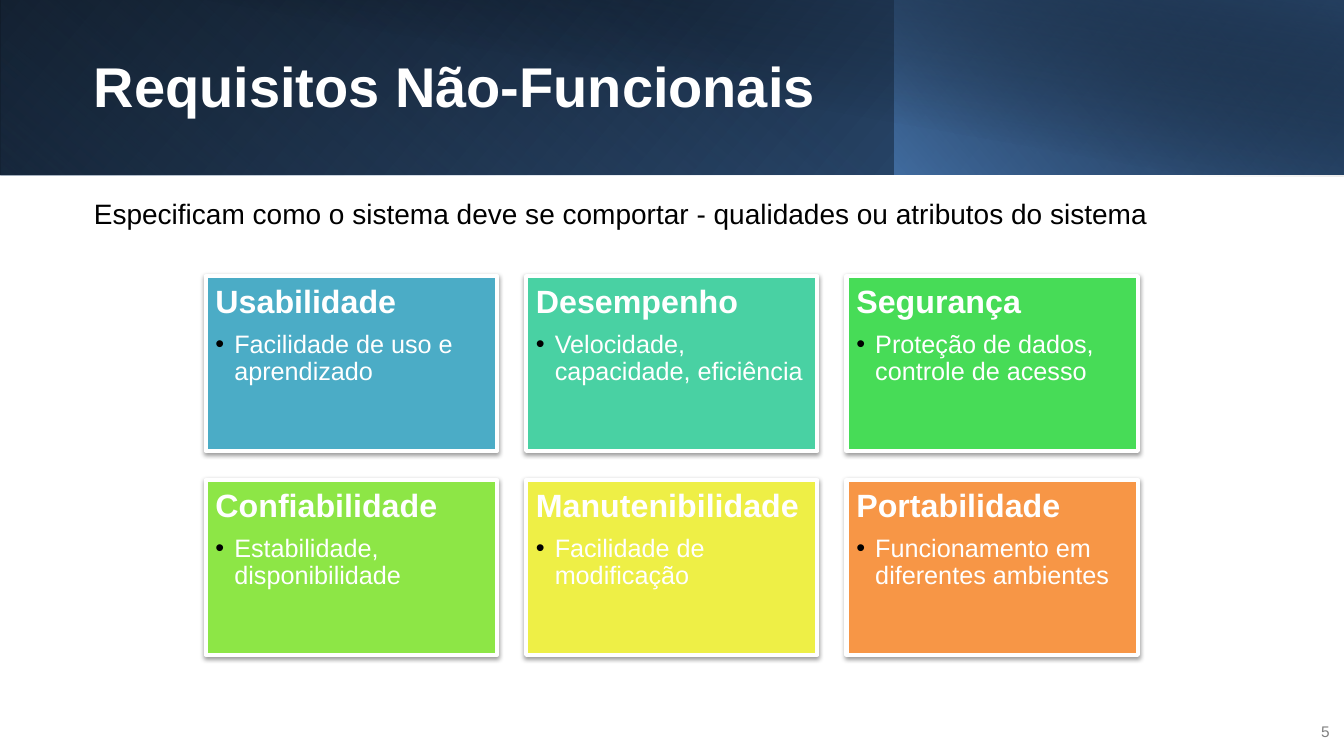
from lxml import etree
from pptx import Presentation
from pptx.dml import color
from pptx.enum import shapes, text
from pptx.oxml import ns, parse_xml
from pptx.util import Pt

BANNER = [
    ((0, 0, 960, 125), 0, True, 140, [(0, "000000", 100), (100, "376092", 100)]),
    ((0, 0, 639, 125), 180, True, 230, [(20, "4F81BD", 0), (100, "254061", 55)]),
    ((639, 0, 321, 125), 0, True, 220, [(0, "4F81BD", 66), (100, "000000", 30)]),
    ((36, 0, 924, 126), 0, False, 280, [(50, "000000", 0), (99, "254061", 52)]),
]
QUALITIES = [
    ("Usabilidade", "Facilidade de uso e aprendizado", "4BACC6"),
    ("Desempenho", "Velocidade, capacidade, eficiência", "49D1A3"),
    ("Segurança", "Proteção de dados, controle de acesso", "47DC57"),
    ("Confiabilidade", "Estabilidade, disponibilidade", "8DE646"),
    ("Manutenibilidade", "Facilidade de modificação", "EEEF46"),
    ("Portabilidade", "Funcionamento em diferentes ambientes", "F79646"),
]


def rgb(value):
    """Turn a hex string into a colour."""
    return color.RGBColor.from_string(value)


def add(parent, tag, **attributes):
    """Append a DrawingML element and return it."""
    child = etree.SubElement(parent, ns.qn(tag))
    for name, value in attributes.items():
        child.set(name, str(value))
    return child


def place(shape, left, top, width, height):
    """Move and size a shape, in points."""
    shape.left, shape.top = Pt(left), Pt(top)
    shape.width, shape.height = Pt(width), Pt(height)


def style(paragraph, size, hue, bold=False, after=0, spacing=0.9, align=text.PP_ALIGN.LEFT):
    """Set the spacing, alignment and font of a paragraph."""
    paragraph.alignment = align
    paragraph.line_spacing = spacing
    paragraph.space_before, paragraph.space_after = Pt(0), Pt(after)
    font = paragraph.font
    font.name, font.size, font.bold = "Arial", Pt(size), bold
    font.color.rgb = rgb(hue)


def add_rectangle(slide, box):
    """Add a rectangle without an inherited shadow."""
    rectangle = slide.shapes.add_shape(shapes.MSO_SHAPE.RECTANGLE, *map(Pt, box))
    rectangle.shadow.inherit = False
    return rectangle


def add_banner_layer(slide, box, rotation, mirrored, angle, stops):
    """Add one translucent gradient layer of the banner."""
    layer = add_rectangle(slide, box)
    layer.line.fill.background()
    layer.rotation = rotation
    layer.fill.background()
    properties = layer.element.spPr
    if mirrored:
        properties.find(ns.qn("a:xfrm")).set("flipH", "1")
    gradient = parse_xml(f'<a:gradFill {ns.nsdecls("a")} rotWithShape="1"/>')
    stop_list = add(gradient, "a:gsLst")
    for position, hue, opacity in stops:
        stop = add(stop_list, "a:gs", pos=position * 1000)
        add(add(stop, "a:srgbClr", val=hue), "a:alpha", val=opacity * 1000)
    add(gradient, "a:lin", ang=angle * 60000, scaled=0)
    properties.replace(properties.find(ns.qn("a:noFill")), gradient)


def fill_placeholder(slide, placeholder, box, words, anchor, **look):
    """Move a placeholder to the front, fill it and format it."""
    slide.shapes.element.append(placeholder.element)
    place(placeholder, *box)
    frame = placeholder.text_frame
    frame.text = words
    frame.auto_size = text.MSO_AUTO_SIZE.NONE
    frame.vertical_anchor = anchor
    paragraph = frame.paragraphs[0]
    properties = paragraph._p.get_or_add_pPr()
    properties.set("marL", "0")
    properties.set("indent", "0")
    add(properties, "a:buNone")
    style(paragraph, **look)


def add_card(slide, box, heading, detail, hue):
    """Add a coloured card with a heading and one bullet."""
    card = add_rectangle(slide, box)
    card.fill.solid()
    card.fill.fore_color.rgb = rgb(hue)
    card.line.color.rgb = rgb("FFFFFF")
    card.line.width = Pt(3)
    effects = card.element.spPr.find(ns.qn("a:effectLst"))
    shadow = add(effects, "a:outerShdw", blurRad=Pt(3.1), dist=Pt(1.6),
                 dir=90 * 60000, rotWithShape=0)
    add(add(shadow, "a:srgbClr", val="000000"), "a:alpha", val=38000)

    frame = card.text_frame
    frame.word_wrap = True
    frame.vertical_anchor = text.MSO_ANCHOR.TOP
    frame.margin_left = frame.margin_right = Pt(7)
    frame.margin_top = frame.margin_bottom = Pt(7)
    frame.text = heading
    style(frame.paragraphs[0], 23, "FFFFFF", bold=True, after=8)
    bullet = frame.add_paragraph()
    bullet.text = detail
    bullet.level = 1
    properties = bullet._p.get_or_add_pPr()
    properties.set("marL", str(Pt(13.5)))
    properties.set("indent", str(Pt(-13.5)))
    add(add(properties, "a:buClr"), "a:srgbClr", val="000000")
    add(properties, "a:buFont", typeface="Arial")
    add(properties, "a:buChar", char="•")
    style(bullet, 18, "FFFFFF", after=3)


def add_page_number(slide, number):
    """Add the page number in the bottom right corner."""
    box = slide.shapes.add_textbox(Pt(921.6), Pt(508.3), Pt(35.3), Pt(28.8))
    frame = box.text_frame
    frame.word_wrap = True
    frame.vertical_anchor = text.MSO_ANCHOR.MIDDLE
    frame.text = number
    style(frame.paragraphs[0], 11, "808080", after=6, spacing=1.0,
          align=text.PP_ALIGN.RIGHT)


def main():
    """Build the slide and save it."""
    deck = Presentation()
    deck.slide_width, deck.slide_height = Pt(960), Pt(540)
    slide = deck.slides.add_slide(deck.slide_layouts[1])
    for layer in BANNER:
        add_banner_layer(slide, *layer)
    fill_placeholder(slide, slide.shapes.title, (59.8, 23, 827.3, 81.4),
                     "Requisitos Não-Funcionais", text.MSO_ANCHOR.MIDDLE,
                     size=40, hue="FFFFFF", bold=True)
    fill_placeholder(slide, slide.placeholders[1], (59.8, 139.7, 814.3, 349.9),
                     "Especificam como o sistema deve se comportar - "
                     "qualidades ou atributos do sistema",
                     text.MSO_ANCHOR.TOP, size=20, hue="000000", after=6)
    add_page_number(slide, "5")
    for index, quality in enumerate(QUALITIES):
        row, column = divmod(index, 3)
        box = (146.9 + 228.9 * column, 197.3 + 145.6 * row, 208.1, 124.8)
        add_card(slide, box, *quality)
    deck.save("out.pptx")


if __name__ == "__main__":
    main()
